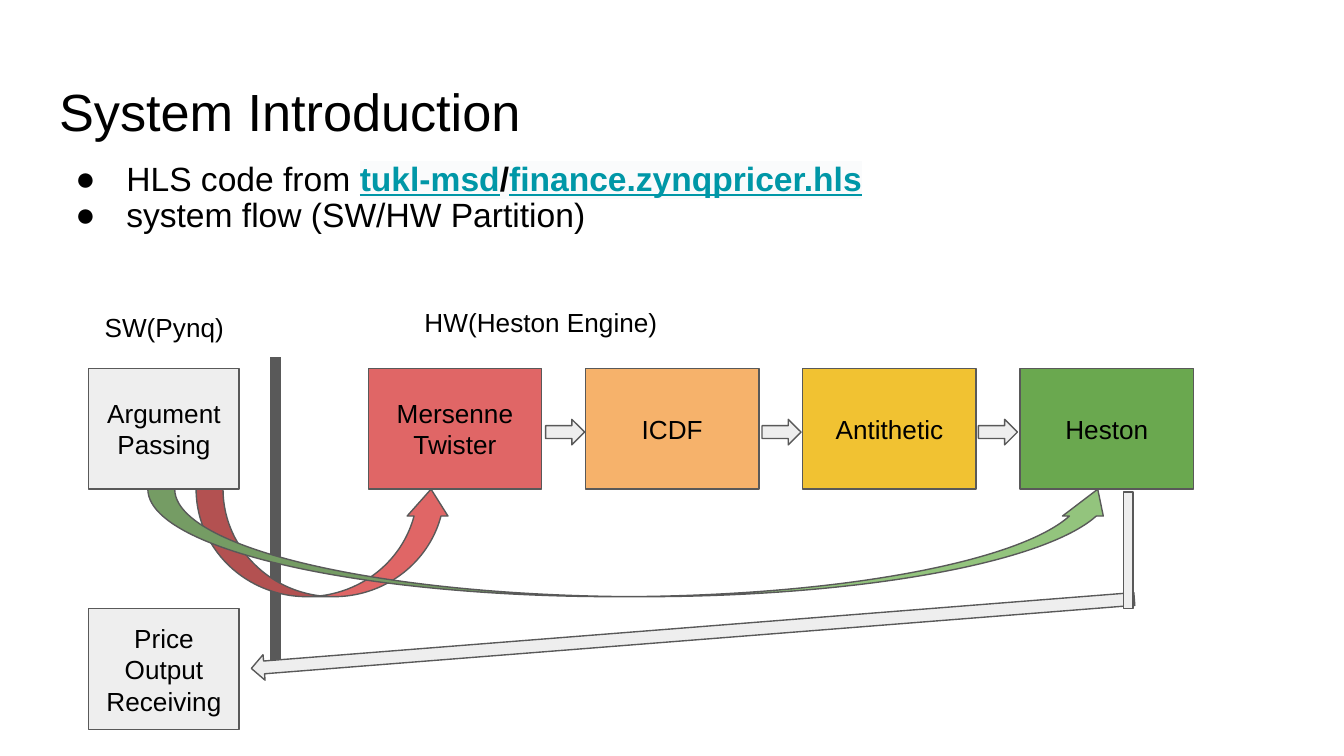
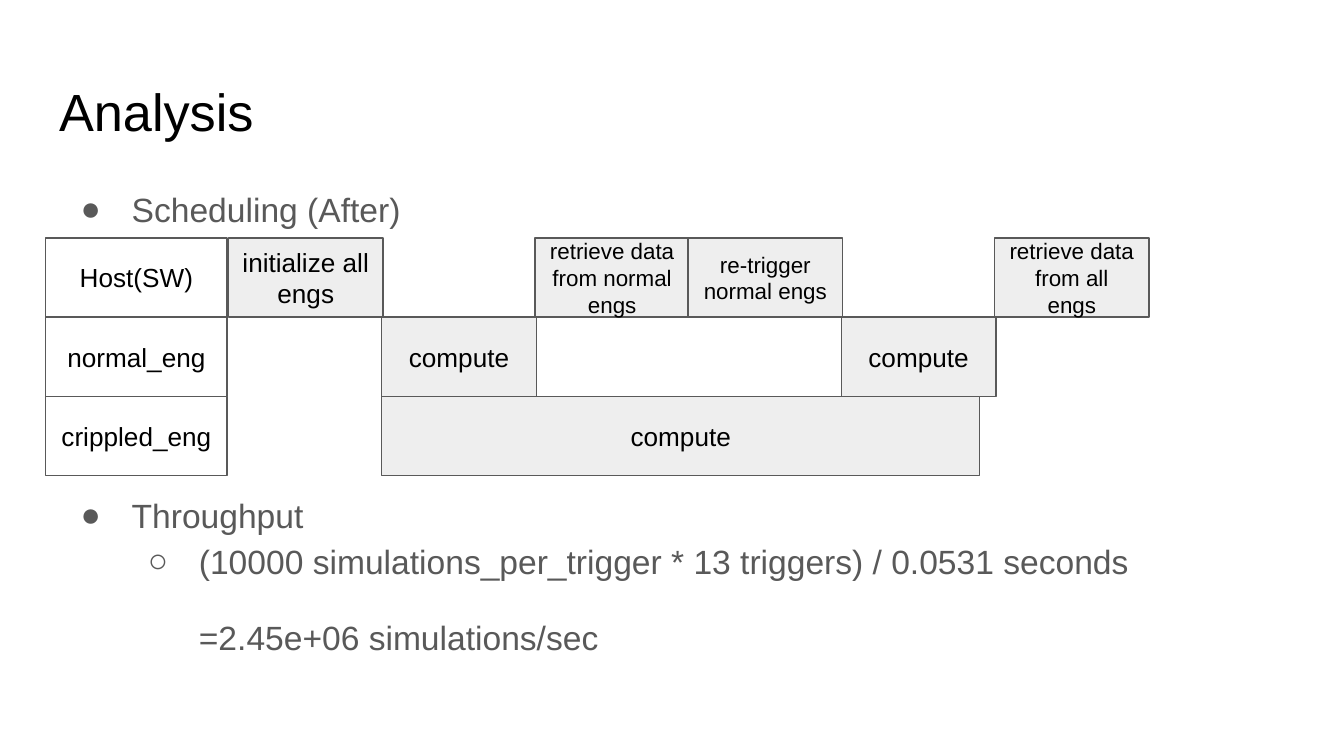
from dataclasses import dataclass

from lxml.etree import SubElement
from pptx import Presentation
from pptx.dml.color import RGBColor
from pptx.enum.shapes import MSO_CONNECTOR, MSO_SHAPE as SHAPE
from pptx.enum.text import MSO_ANCHOR as ANCHOR, MSO_AUTO_SIZE as AUTO, PP_ALIGN as ALIGN
from pptx.oxml.ns import qn
from pptx.util import Inches, Pt


@dataclass(frozen=True)
class Theme:
    font: str = "Arial"
    ink: str = "000000"
    grey: str = "595959"
    pale: str = "EEEEEE"
    white: str = "FFFFFF"
    link: str = "0097A7"
    highlight: str = "FAFBFC"
    red: str = "E06666"
    orange: str = "F6B26B"
    yellow: str = "F1C232"
    green: str = "6AA84F"
    light_green: str = "93C47D"
    title_size: int = 28
    body_size: int = 18
    label_size: int = 14
    small_size: int = 12
    outline: float = 0.75
    divider: float = 6


THEME = Theme()


def rgb(value):
    return RGBColor.from_string(value)


class Deck:
    def __init__(self, theme):
        self.theme = theme
        self.prs = Presentation()
        self.prs.slide_width, self.prs.slide_height = Inches(10), Inches(10 * 9 / 16)
        self.slide = None

    def add_slide(self, title):
        self.slide = self.prs.slides.add_slide(self.prs.slide_layouts[1])
        heading = self.slide.shapes.title
        self.place(heading, 0.34, 0.49, 9.32, 0.63)
        frame = self.format_frame(heading, ANCHOR.TOP)
        frame.paragraphs[0].alignment = ALIGN.LEFT
        self.add_run(frame.paragraphs[0], title, self.theme.title_size)

    def place(self, shape, *box):
        for name, length in zip(("left", "top", "width", "height"), box):
            setattr(shape, name, Inches(length))

    def format_frame(self, shape, anchor, auto_size=AUTO.NONE):
        frame = shape.text_frame
        margins = {f"margin_{side}": Inches(0.1) for side in ("left", "top", "right", "bottom")}
        settings = {"word_wrap": True, "auto_size": auto_size, "vertical_anchor": anchor}
        for name, value in (settings | margins).items():
            setattr(frame, name, value)
        return frame

    def add_run(self, paragraph, text, size, color=THEME.ink, highlight=None, **styles):
        run = paragraph.add_run()
        run.text = text
        font = run.font
        for name, value in {"name": self.theme.font, "size": Pt(size), **styles}.items():
            setattr(font, name, value)
        font.color.rgb = rgb(color)
        if highlight:
            mark = SubElement(run._r.rPr, qn("a:highlight"))
            SubElement(mark, qn("a:srgbClr"), val=highlight)
            run._r.rPr.find(qn("a:solidFill")).addnext(mark)

    def body(self, box, items, line_spacing, color):
        """Fill the body placeholder from (level, bullet, space before, runs) items."""
        holder = self.slide.placeholders[1]
        self.place(holder, *box)
        frame = self.format_frame(holder, ANCHOR.TOP)
        for index, (level, bullet, space_before, runs) in enumerate(items):
            paragraph = frame.add_paragraph() if index else frame.paragraphs[0]
            self.set_bullet(paragraph, level, bullet, color)
            paragraph.line_spacing = line_spacing
            paragraph.space_before = Pt(space_before)
            paragraph.space_after = Pt(0)
            for text, styles in runs:
                self.add_run(paragraph, text, self.theme.body_size, **({"color": color} | styles))

    def set_bullet(self, paragraph, level, bullet, color):
        paragraph.level = level
        properties = paragraph._p.get_or_add_pPr()
        properties.set("marL", str(Inches(0.5 * (level + 1))))
        properties.set("indent", str(Inches(-0.38 if bullet else 0)))
        if bullet:
            SubElement(SubElement(properties, qn("a:buClr")), qn("a:srgbClr"), val=color)
            SubElement(properties, qn("a:buFont"), typeface=self.theme.font)
            SubElement(properties, qn("a:buChar"), char=bullet)
        else:
            SubElement(properties, qn("a:buNone"))

    def label(self, text, *box):
        caption = self.slide.shapes.add_textbox(*map(Inches, box))
        frame = self.format_frame(caption, ANCHOR.TOP, AUTO.SHAPE_TO_FIT_TEXT)
        self.add_run(frame.paragraphs[0], text, self.theme.label_size)

    def outlined(self, kind, box, fill, adjustments=(), rotation=0):
        shape = self.slide.shapes.add_shape(kind, *map(Inches, box))
        shape.shadow.inherit = False
        shape.fill.solid()
        shape.fill.fore_color.rgb = rgb(fill)
        shape.line.color.rgb = rgb(self.theme.grey)
        shape.line.width = Pt(self.theme.outline)
        shape.rotation = rotation
        for index, value in enumerate(adjustments):
            shape.adjustments[index] = value
        return shape

    def block(self, lines, box, fill=THEME.pale, size=THEME.label_size):
        """Add a rectangle with one centred paragraph for each line of text."""
        frame = self.format_frame(self.outlined(SHAPE.RECTANGLE, box, fill), ANCHOR.MIDDLE)
        for index, text in enumerate(lines.split("\n")):
            paragraph = frame.add_paragraph() if index else frame.paragraphs[0]
            paragraph.alignment = ALIGN.CENTER
            self.add_run(paragraph, text, size)

    def vertical_rule(self, x, top, bottom):
        ends = map(Inches, (x, top, x, bottom))
        rule = self.slide.shapes.add_connector(MSO_CONNECTOR.STRAIGHT, *ends)
        rule.line.color.rgb = rgb(self.theme.grey)
        rule.line.width = Pt(self.theme.divider)
        SubElement(rule._element.spPr, qn("a:effectLst"))


def build_system_introduction(deck):
    theme = deck.theme
    deck.add_slide("System Introduction")
    repo = {"bold": True, "highlight": theme.highlight}
    repo_link = repo | {"color": theme.link, "underline": True}
    deck.body((0.34, 1.11, 9.32, 0.95), [
        (0, "●", 0, [("HLS code from ", {}), ("tukl-msd", repo_link), ("/", repo),
                     ("finance.zynqpricer.hls", repo_link)]),
        (0, "●", 0, [("system flow (SW/HW Partition)", {})]),
    ], 0.9, theme.ink)

    deck.vertical_rule(2.05, 2.66, 4.91)
    deck.label("SW(Pynq)", 0.68, 2.22, 1.18, 0.44)
    deck.label("HW(Heston Engine)", 3.06, 2.18, 2.01, 0.44)

    stage_top, stage_height = 2.74, 0.9
    stages = [("Mersenne Twister", theme.red), ("ICDF", theme.orange),
              ("Antithetic", theme.yellow), ("Heston", theme.green)]
    stage_step = (7.59 - 2.74) / (len(stages) - 1)
    for index, (name, fill) in enumerate(stages):
        deck.block(name, (2.74 + index * stage_step, stage_top, 1.29, stage_height), fill)
    deck.block("Argument\nPassing", (0.66, stage_top, 1.12, stage_height))

    for left, width, fill in ((1.46, 1.9, theme.red), (1.1, 7.22, theme.light_green)):
        deck.outlined(SHAPE.CURVED_UP_ARROW, (left, stage_top + stage_height, width, 0.8),
                      fill, (0.25, 0.38, 0.25))
    for index in range(len(stages) - 1):
        deck.outlined(SHAPE.RIGHT_ARROW, (4.06 + 1.61 * index, 3.12, 0.29, 0.19), theme.pale)

    deck.block("Price Output Receiving", (0.66, 4.53, 1.12, stage_height))
    deck.outlined(SHAPE.LEFT_ARROW, (1.86, 4.62, 6.59, 0.19), theme.pale, rotation=355.5)
    deck.outlined(SHAPE.RECTANGLE, (8.36, 3.66, 0.07, 0.87), theme.pale)


def build_analysis(deck):
    theme = deck.theme
    deck.add_slide("Analysis")
    schedule_gap = 139
    deck.body((0.38, 1.26, 9.32, 3.74), [
        (0, "●", 0, [("Scheduling (After)", {})]),
        (0, "●", schedule_gap, [("Throughput", {})]),
        (1, "○", 0, [("(10000 simulations_per_trigger * 13 triggers) / 0.0531 seconds", {})]),
        (1, None, 16, [("=2.45e+06 simulations/sec", {})]),
    ], 1.15, theme.grey)

    row_top, row_height = 1.77, 0.59
    slot_left, slot_step, slot_width = 1.7, 1.14, 1.15
    label, small = theme.label_size, theme.small_size
    # Each task: starting slot, width, text, type size
    schedule = [
        ("Host(SW)", [(0, slot_width, "initialize all engs", label),
                      (2, slot_width, "retrieve data from normal engs", small),
                      (3, slot_width, "re-trigger normal engs", small),
                      (5, slot_width, "retrieve data from all engs", small)]),
        ("normal_eng", [(1, slot_width, "compute", label), (4, slot_width, "compute", label)]),
        ("crippled_eng", [(1, 4.45, "compute", label)]),
    ]
    for row, (unit, tasks) in enumerate(schedule):
        top = row_top + row * row_height
        deck.block(unit, (0.34, top, 1.35, row_height), theme.white)
        for slot, width, text, size in tasks:
            deck.block(text, (slot_left + slot * slot_step, top, width, row_height), size=size)


def main():
    deck = Deck(THEME)
    build_system_introduction(deck)
    build_analysis(deck)
    deck.prs.save("out.pptx")


if __name__ == "__main__":
    main()
